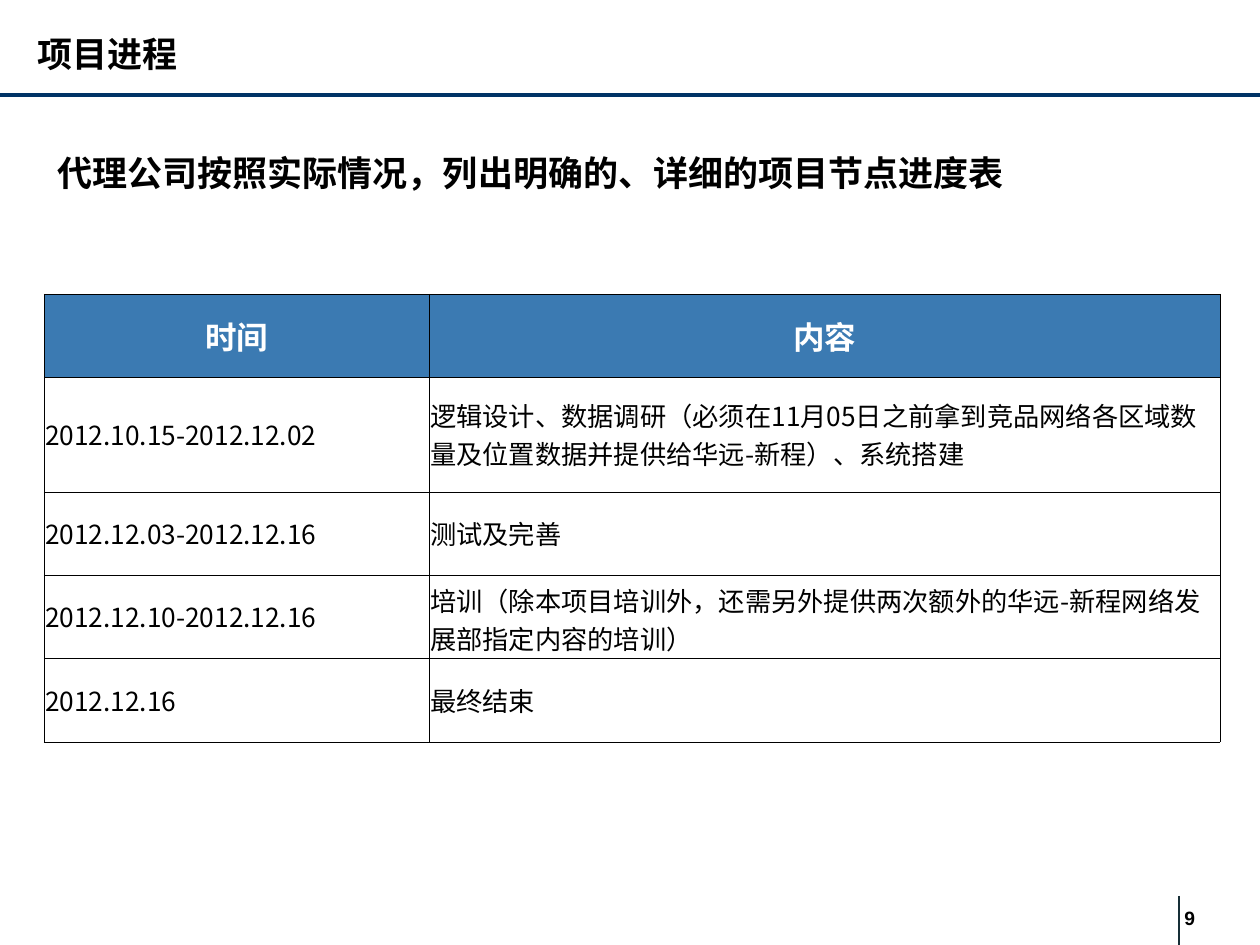
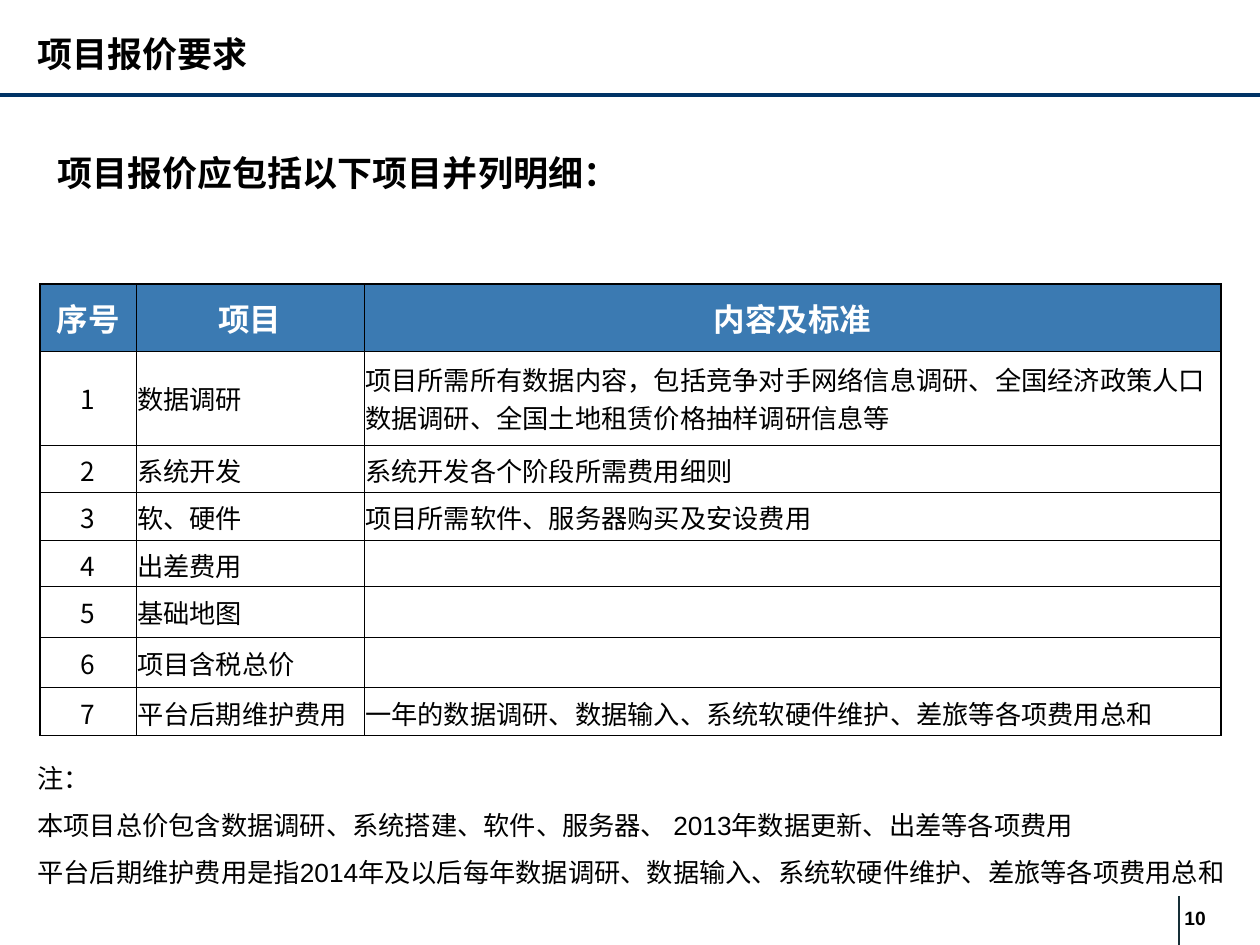
from lxml import etree
from pptx import Presentation
from pptx.dml.color import RGBColor
from pptx.enum.lang import MSO_LANGUAGE_ID
from pptx.enum.shapes import MSO_CONNECTOR
from pptx.enum.text import MSO_ANCHOR, PP_ALIGN
from pptx.oxml.ns import qn
from pptx.util import Emu, Pt

STRAIGHT = MSO_CONNECTOR.STRAIGHT
MIDDLE = MSO_ANCHOR.MIDDLE
LEFT, CENTER = PP_ALIGN.LEFT, PP_ALIGN.CENTER
CHINESE = MSO_LANGUAGE_ID.SIMPLIFIED_CHINESE

SCALE = 914400 / 126
BLACK, WHITE, NAVY, SLATE, HEADER_BLUE = "000000", "FFFFFF", "003366", "172F37", "3B7AB2"
CJK_FONT = "Noto Sans CJK SC"

HEADING = {"name": "Arial", "size": Pt(20), "bold": True}
PAGE_NUMBER = {"name": "Arial", "size": Pt(11), "bold": True}
NOTE = {"name": "Arial", "size": Pt(15), "bold": False}
TABLE_HEADER = {"name": CJK_FONT, "size": Pt(18), "bold": True}
TABLE_BODY = {"name": CJK_FONT, "size": Pt(15), "bold": False}
CELL_FORMAT = {"vertical_anchor": MIDDLE, "margin_left": Emu(9144), "margin_right": Emu(9144),
               "margin_top": Emu(45720), "margin_bottom": Emu(45720)}

# left, top, right, bottom of each line on every slide, with colour and width
RULES = [((1179, 896, 1179, 945), SLATE, 0.75), ((0, 95, 1260, 95), NAVY, 2.25)]

SLIDES = [
    {
        "number": "9",
        "title": "项目进程",
        "subtitle": "代理公司按照实际情况，列出明确的、详细的项目节点进度表",
        "table_position": (44, 294),
        "columns": [385, 791],
        "rows": [83, 115, 83, 83, 84],
        "centered_columns": [],
        "inner_border": 0.23,
        "outer_border": 0.23,
        "cells": [
            ["时间", "内容"],
            ["2012.10.15-2012.12.02",
             "逻辑设计、数据调研（必须在11月05日之前拿到竞品网络各区域数量及位置数据并提供给华远-新程）、系统搭建"],
            ["2012.12.03-2012.12.16", "测试及完善"],
            ["2012.12.10-2012.12.16",
             "培训（除本项目培训外，还需另外提供两次额外的华远-新程网络发展部指定内容的培训）"],
            ["2012.12.16", "最终结束"],
        ],
        "notes": [],
    },
    {
        "number": "10",
        "title": "项目报价要求",
        "subtitle": "项目报价应包括以下项目并列明细：",
        "table_position": (40, 284),
        "columns": [96, 228, 857],
        "rows": [67, 94, 47, 48, 47, 51, 50, 48],
        "centered_columns": [0],
        "inner_border": 0.45,
        "outer_border": 0.75,
        "cells": [
            ["序号", "项目", "内容及标准"],
            ["1", "数据调研",
             "项目所需所有数据内容，包括竞争对手网络信息调研、全国经济政策人口数据调研、全国土地租赁价格抽样调研信息等"],
            ["2", "系统开发", "系统开发各个阶段所需费用细则"],
            ["3", "软、硬件", "项目所需软件、服务器购买及安设费用"],
            ["4", "出差费用", ""],
            ["5", "基础地图", ""],
            ["6", "项目含税总价", ""],
            ["7", "平台后期维护费用", "一年的数据调研、数据输入、系统软硬件维护、差旅等各项费用总和"],
        ],
        "notes": [
            "注：",
            "本项目总价包含数据调研、系统搭建、软件、服务器、 2013年数据更新、出差等各项费用",
            "平台后期维护费用是指2014年及以后每年数据调研、数据输入、系统软硬件维护、差旅等各项费用总和",
        ],
    },
]


def px(length):
    return Emu(round(length * SCALE))


def write(paragraph, text, text_format, color=BLACK):
    """Add a run with the given format, using the Chinese font for Chinese characters."""
    run = paragraph.add_run()
    run.text = text
    for name, value in text_format.items():
        setattr(run.font, name, value)
    run.font.language_id = CHINESE
    run.font.color.rgb = RGBColor.from_string(color)
    etree.SubElement(run.font._element, qn("a:ea"), typeface=CJK_FONT)


presentation = Presentation()
presentation.slide_width, presentation.slide_height = px(1260), px(945)

for content in SLIDES:
    slide = presentation.slides.add_slide(presentation.slide_layouts[6])

    for ends, color, width in RULES:
        rule = slide.shapes.add_connector(STRAIGHT, *map(px, ends))
        rule.line.color.rgb = RGBColor.from_string(color)
        rule.line.width = Pt(width)
        etree.SubElement(rule._element.spPr, qn("a:effectLst"))

    text_boxes = [
        ((1172, 900, 88, 36), [content["number"]], PAGE_NUMBER, 1),
        ((25, 26, 963, 55), [content["title"]], HEADING, 1),
        ((45, 145, 1175, 131), [content["subtitle"]], HEADING, 1),
    ]
    if content["notes"]:
        text_boxes.append(((25, 740, 1235, 155), content["notes"], NOTE, 1.5))
    for position, lines, text_format, spacing in text_boxes:
        text_frame = slide.shapes.add_textbox(*map(px, position)).text_frame
        text_frame.word_wrap = True
        for index, line in enumerate(lines):
            paragraph = text_frame.add_paragraph() if index else text_frame.paragraphs[0]
            paragraph.line_spacing = spacing
            write(paragraph, line, text_format)

    columns, rows = content["columns"], content["rows"]
    position = (*content["table_position"], sum(columns), sum(rows))
    table = slide.shapes.add_table(len(rows), len(columns), *map(px, position)).table
    table.first_row = table.horz_banding = False
    for column, width in zip(table.columns, columns):
        column.width = px(width)
    for row, height in zip(table.rows, rows):
        row.height = px(height)

    for row_index, row_texts in enumerate(content["cells"]):
        is_header = row_index == 0
        for column_index, text in enumerate(row_texts):
            cell = table.cell(row_index, column_index)
            for name, value in CELL_FORMAT.items():
                setattr(cell, name, value)

            on_outside = {"lnL": column_index == 0, "lnR": column_index == len(columns) - 1,
                          "lnT": is_header, "lnB": False}
            for side, outside in on_outside.items():
                width = content["outer_border"] if outside else content["inner_border"]
                border = etree.SubElement(cell._tc.get_or_add_tcPr(), qn(f"a:{side}"), w=str(Pt(width)))
                border_fill = etree.SubElement(border, qn("a:solidFill"))
                etree.SubElement(border_fill, qn("a:srgbClr"), val=BLACK)

            if is_header:
                cell.fill.solid()
                cell.fill.fore_color.rgb = RGBColor.from_string(HEADER_BLUE)
            else:
                cell.fill.background()

            paragraph = cell.text_frame.paragraphs[0]
            centered = is_header or column_index in content["centered_columns"]
            paragraph.alignment = CENTER if centered else LEFT
            if is_header:
                write(paragraph, text, TABLE_HEADER, WHITE)
            elif text:
                write(paragraph, text, TABLE_BODY)
            else:
                etree.SubElement(paragraph._p, qn("a:endParaRPr"), sz="1500")

presentation.save("out.pptx")
